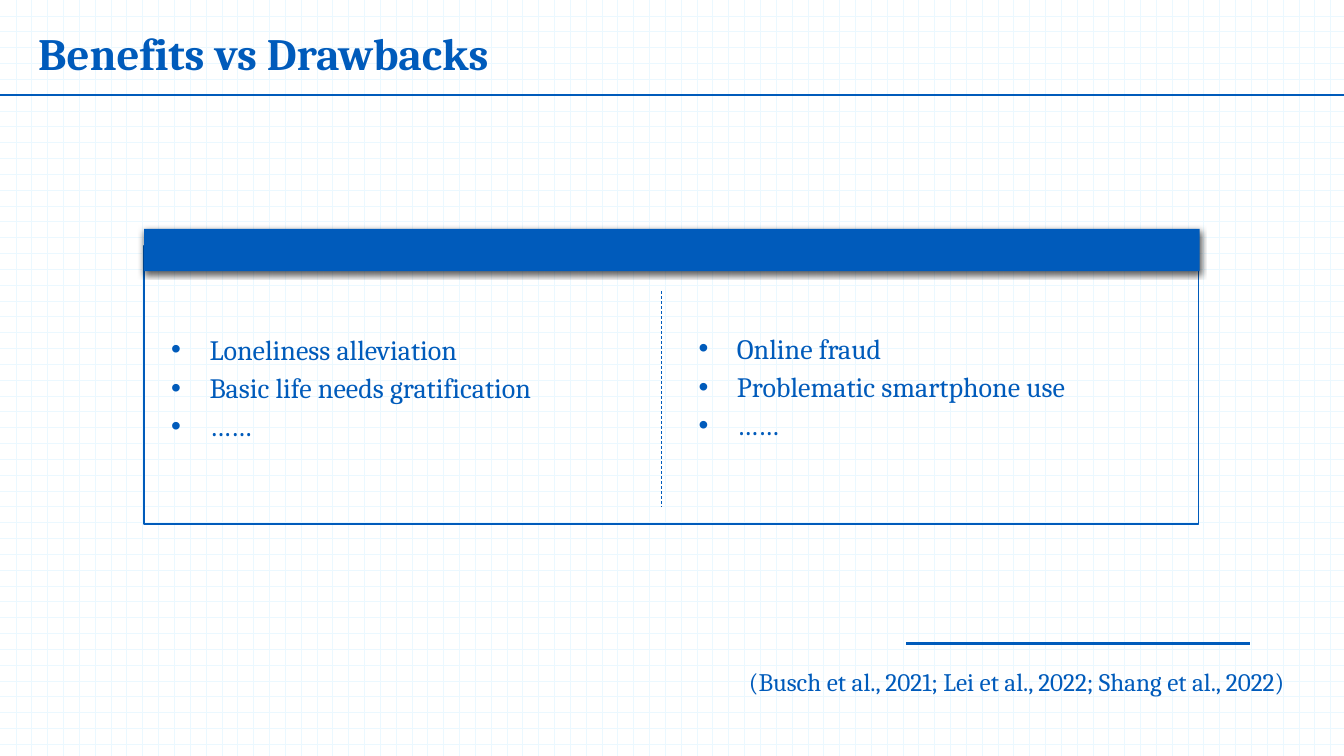
import pptx
import pptx.util
import pptx.dml.color
import pptx.enum.dml
import pptx.enum.shapes
import pptx.enum.text
import pptx.oxml
import pptx.oxml.ns
from lxml import etree

Inches = pptx.util.Inches
Pt = pptx.util.Pt
RGBColor = pptx.dml.color.RGBColor
Anchor = pptx.enum.text.MSO_ANCHOR
Fit = pptx.enum.text.MSO_AUTO_SIZE
Kind = pptx.enum.shapes.MSO_SHAPE
Dash = pptx.enum.dml.MSO_LINE
qn = pptx.oxml.ns.qn

BLUE = RGBColor(0x00, 0x5B, 0xBB)
PALE = RGBColor(0xEB, 0xF8, 0xFF)
WHITE = RGBColor(0xFF, 0xFF, 0xFF)

SHADOW = (
    '<a:effectLst xmlns:a="http://schemas.openxmlformats.org/drawingml/2006/main">'
    '<a:outerShdw blurRad="57150" dist="19050" dir="5400000" algn="ctr" rotWithShape="0">'
    '<a:srgbClr val="000000"><a:alpha val="63000"/></a:srgbClr>'
    '</a:outerShdw></a:effectLst>'
)


def apply(target, values):
    for name, value in values.items():
        setattr(target, name, value)


class Deck:
    font = "Cambria"

    def __init__(self):
        self.file = pptx.Presentation()
        apply(self.file, {"slide_width": Inches(13.33), "slide_height": Inches(7.5)})
        self.slide = self.file.slides.add_slide(self.file.slide_layouts[6])
        self.shapes = self.slide.shapes

    def grid(self):
        fill = self.slide.background.fill
        fill.patterned()
        fill.pattern = pptx.enum.dml.MSO_PATTERN.DOTTED_GRID
        fill.fore_color.rgb = PALE
        fill.back_color.rgb = WHITE

    def line(self, start, end, width, dash=None):
        ends = [Inches(v) for v in (*start, *end)]
        item = self.shapes.add_connector(pptx.enum.shapes.MSO_CONNECTOR.STRAIGHT, *ends)
        item.line.color.rgb = BLUE
        apply(item.line, {"width": Pt(width), "dash_style": dash})
        etree.SubElement(item._element.spPr, qn("a:effectLst"))

    def rect(self, box, solid=False):
        item = self.shapes.add_shape(Kind.RECTANGLE, *[Inches(v) for v in box])
        item.shadow.inherit = False
        if solid:
            item.fill.solid()
            item.fill.fore_color.rgb = BLUE
            item.line.fill.background()
            props = item._element.spPr
            props.replace(props.find(qn("a:effectLst")), pptx.oxml.parse_xml(SHADOW))
        else:
            item.fill.background()
            item.line.color.rgb = BLUE
            item.line.width = Pt(1)

    def text(self, box, lines, size, bold=False, bullet=False,
             anchor=Anchor.MIDDLE, fit=Fit.NONE):
        frame = self.shapes.add_textbox(*[Inches(v) for v in box]).text_frame
        apply(frame, {"word_wrap": True, "auto_size": fit,
                      "vertical_anchor": anchor, "text": "\n".join(lines)})
        for para in frame.paragraphs:
            font = para.runs[0].font
            apply(font, {"name": self.font, "size": Pt(size), "bold": bold})
            font.color.rgb = BLUE
            if bullet:
                self.bullet(para)

    def bullet(self, para):
        para.line_spacing = 1.14
        props = para._p.get_or_add_pPr()
        props.set("marL", str(Inches(0.38)))
        props.set("indent", str(-Inches(0.38)))
        etree.SubElement(props, qn("a:buFont"), typeface="Arial")
        etree.SubElement(props, qn("a:buChar"), char="•")


def main():
    deck = Deck()
    deck.grid()
    deck.line((8.99, 6.38), (12.4, 6.38), 2.25)
    deck.line((0, 0.94), (13.33, 0.94), 1.5)
    deck.text((0.28, 0.1, 10.47, 0.85), ["Benefits vs Drawbacks"], 32, bold=True)
    deck.rect((1.43, 2.44, 10.46, 2.76))
    deck.line((6.56, 2.89), (6.56, 5.03), 0.5, Dash.DASH)
    deck.text((1.6, 3, 4.8, 1.64),
              ["Loneliness alleviation", "Basic life needs gratification", "……"],
              20, bullet=True)
    deck.text((6.83, 3.2, 4.81, 1.22),
              ["Online fraud", "Problematic smartphone use", "……"],
              20, bullet=True, fit=Fit.SHAPE_TO_FIT_TEXT)
    deck.rect((1.43, 2.27, 10.47, 0.42), solid=True)
    deck.text((7.33, 6.56, 5.76, 0.4),
              ["(Busch et al., 2021; Lei et al., 2022; Shang et al., 2022)"],
              18, anchor=Anchor.TOP, fit=Fit.SHAPE_TO_FIT_TEXT)
    deck.file.save("out.pptx")


if __name__ == "__main__":
    main()
